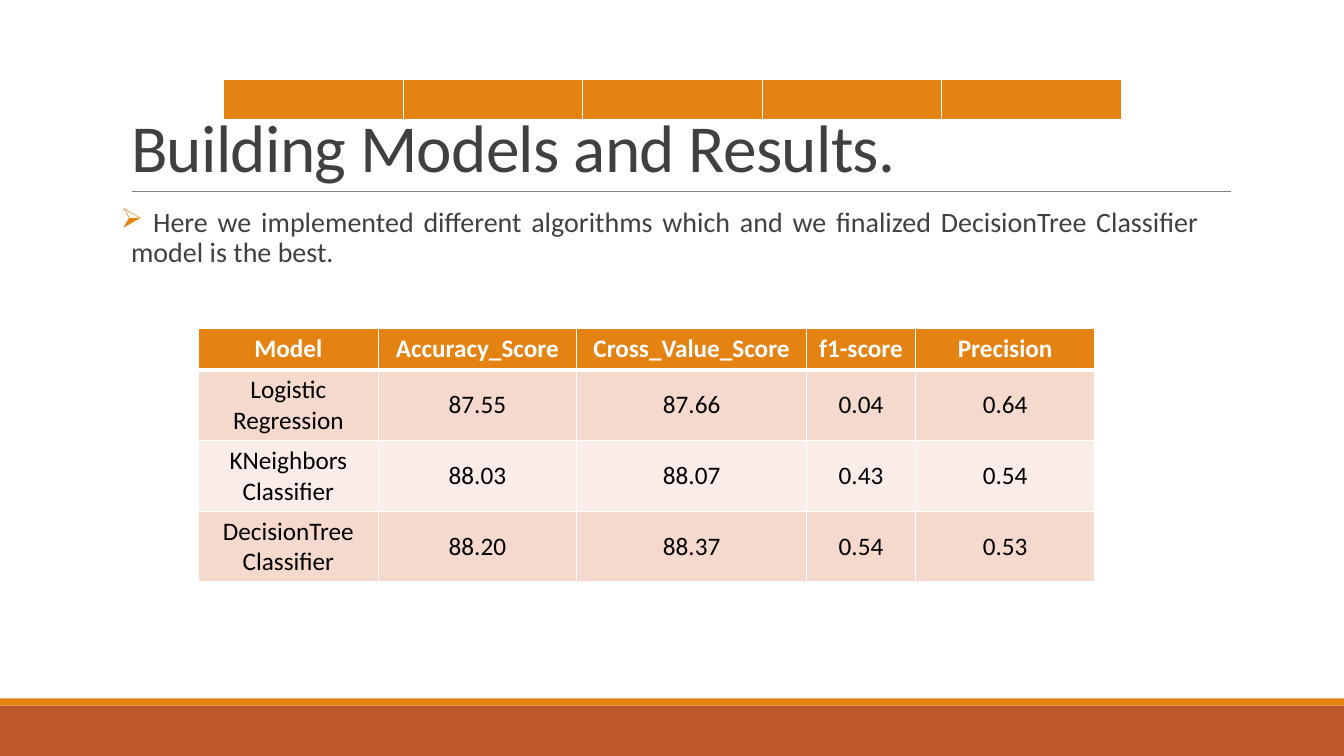
"""Build the slide on models and their results."""
from lxml.etree import SubElement
from pptx import Presentation
from pptx.dml.color import RGBColor
from pptx.enum.shapes import MSO_CONNECTOR, MSO_SHAPE
from pptx.enum.text import MSO_ANCHOR, PP_ALIGN
from pptx.oxml.ns import qn
from pptx.util import Inches, Pt


def paint(color, code):
    color.rgb = RGBColor.from_string(code)


def write(para, text, size, code, bold=False):
    run = para.add_run()
    run.text = text
    run.font.name = "Calibri"
    run.font.size = Pt(size)
    run.font.bold = bold
    paint(run.font.color, code)
    return run


deck = Presentation()
deck.slide_width = Inches(13.33)
deck.slide_height = Inches(7.5)
slide = deck.slides.add_slide(deck.slide_layouts[5])
shapes = slide.shapes

for top, height, code in [(7, 0.5, "BD582C"), (6.93, 0.07, "E48312")]:
    band = shapes.add_shape(MSO_SHAPE.RECTANGLE, 0, Inches(top),
                            deck.slide_width, Inches(height))
    band.shadow.inherit = False
    band.fill.solid()
    paint(band.fill.fore_color, code)
    band.line.fill.background()

rule = shapes.add_connector(MSO_CONNECTOR.STRAIGHT, Inches(1.31), Inches(1.9),
                            Inches(12.21), Inches(1.9))
paint(rule.line.color, "808080")
rule.line.width = Pt(0.5)
SubElement(rule.element.spPr, qn("a:effectLst"))

title = shapes.title
title.left, title.top = Inches(1.2), Inches(0.31)
title.width, title.height = Inches(11), Inches(1.59)
title.text_frame.vertical_anchor = MSO_ANCHOR.BOTTOM
title.text_frame.word_wrap = True
para = title.text_frame.paragraphs[0]
para.alignment = PP_ALIGN.LEFT
para.line_spacing = 0.85
run = write(para, "Building Models and Results.", 48, "404040")
run.font._element.set("spc", "-50")

body = shapes.add_textbox(Inches(1.2), Inches(2.02), Inches(10.69), Inches(4.4))
frame = body.text_frame
frame.word_wrap = True
frame.margin_left = frame.margin_right = 0
para = frame.paragraphs[0]
para.alignment = PP_ALIGN.JUSTIFY
para.line_spacing = 0.9
para.space_before, para.space_after = Pt(12), Pt(2)
props = para._p.get_or_add_pPr()
props.set("marL", str(Inches(0.1)))
props.set("indent", str(Inches(-0.1)))
tint = SubElement(props, qn("a:buClr"))
SubElement(tint, qn("a:srgbClr"), val="E48312")
SubElement(props, qn("a:buChar"), char="\u27a2")
write(para, " Here we implemented different algorithms which and we finalized "
      "DecisionTree Classifier model is the best.", 20, "404040")

scores = [
    ["Model", "Accuracy_Score", "Cross_Value_Score", "f1-score", "Precision"],
    ["Logistic Regression", "87.55", "87.66", "0.04", "0.64"],
    ["KNeighbors Classifier", "88.03", "88.07", "0.43", "0.54"],
    ["DecisionTree Classifier", "88.20", "88.37", "0.54", "0.53"],
]
tables = [
    (2.22, 0.79, [1.78] * 5, [[""] * 5]),
    (1.97, 3.26, [1.78, 1.97, 2.28, 1.08, 1.78], scores),
]
for left, top, widths, rows in tables:
    heights = [0.41] + [0.7] * (len(rows) - 1)
    grid = shapes.add_table(len(rows), len(widths), Inches(left), Inches(top),
                            Inches(sum(widths)), Inches(sum(heights))).table
    for col, width in zip(grid.columns, widths):
        col.width = Inches(width)
    for i, (row, height) in enumerate(zip(rows, heights)):
        grid.rows[i].height = Inches(height)
        for j, text in enumerate(row):
            cell = grid.cell(i, j)
            cell.vertical_anchor = MSO_ANCHOR.MIDDLE
            props = cell._tc.get_or_add_tcPr()
            for side in "LRTB":
                thick = (i, side) in [(0, "B"), (1, "T")]
                edge = SubElement(props, qn("a:ln" + side),
                                  w=str(Pt(3 if thick else 1)))
                fill = SubElement(edge, qn("a:solidFill"))
                SubElement(fill, qn("a:srgbClr"), val="FFFFFF")
            cell.fill.solid()
            band = "F5D9CC" if i % 2 else "FAEDE7"
            paint(cell.fill.fore_color, band if i else "E48312")
            if text:
                para = cell.text_frame.paragraphs[0]
                para.alignment = PP_ALIGN.CENTER
                write(para, text, 18, "000000" if i else "FFFFFF", i == 0)

deck.save("out.pptx")
